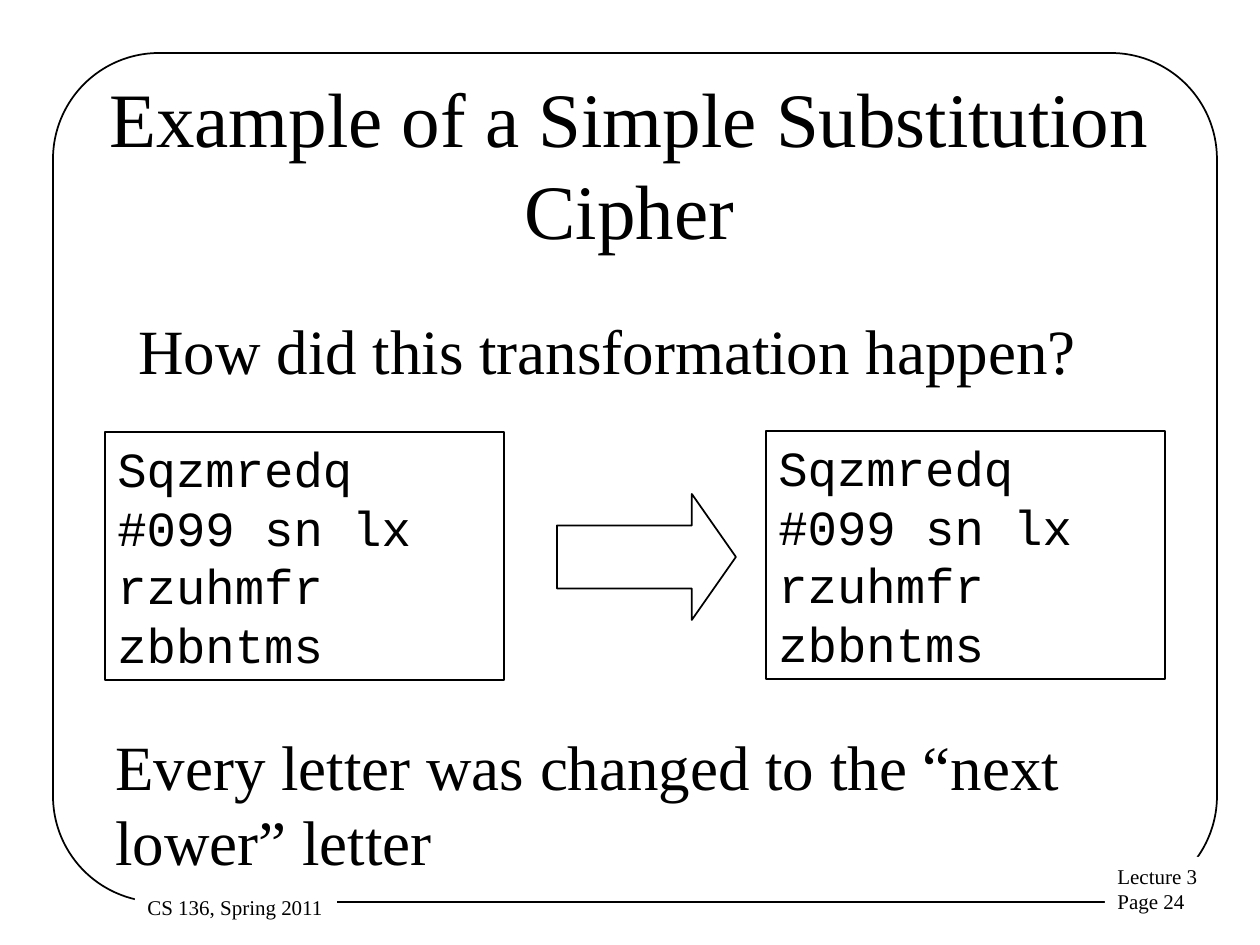
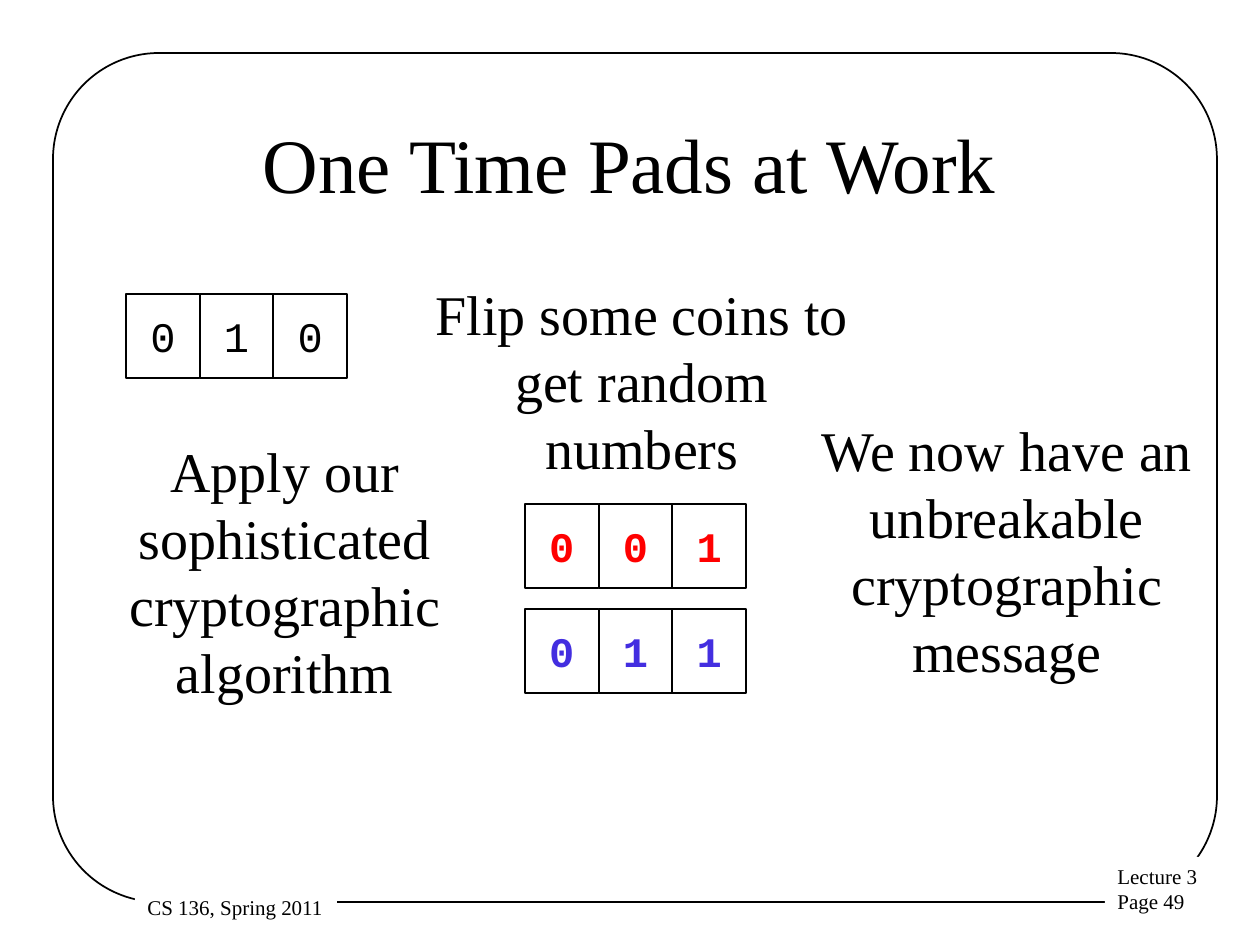
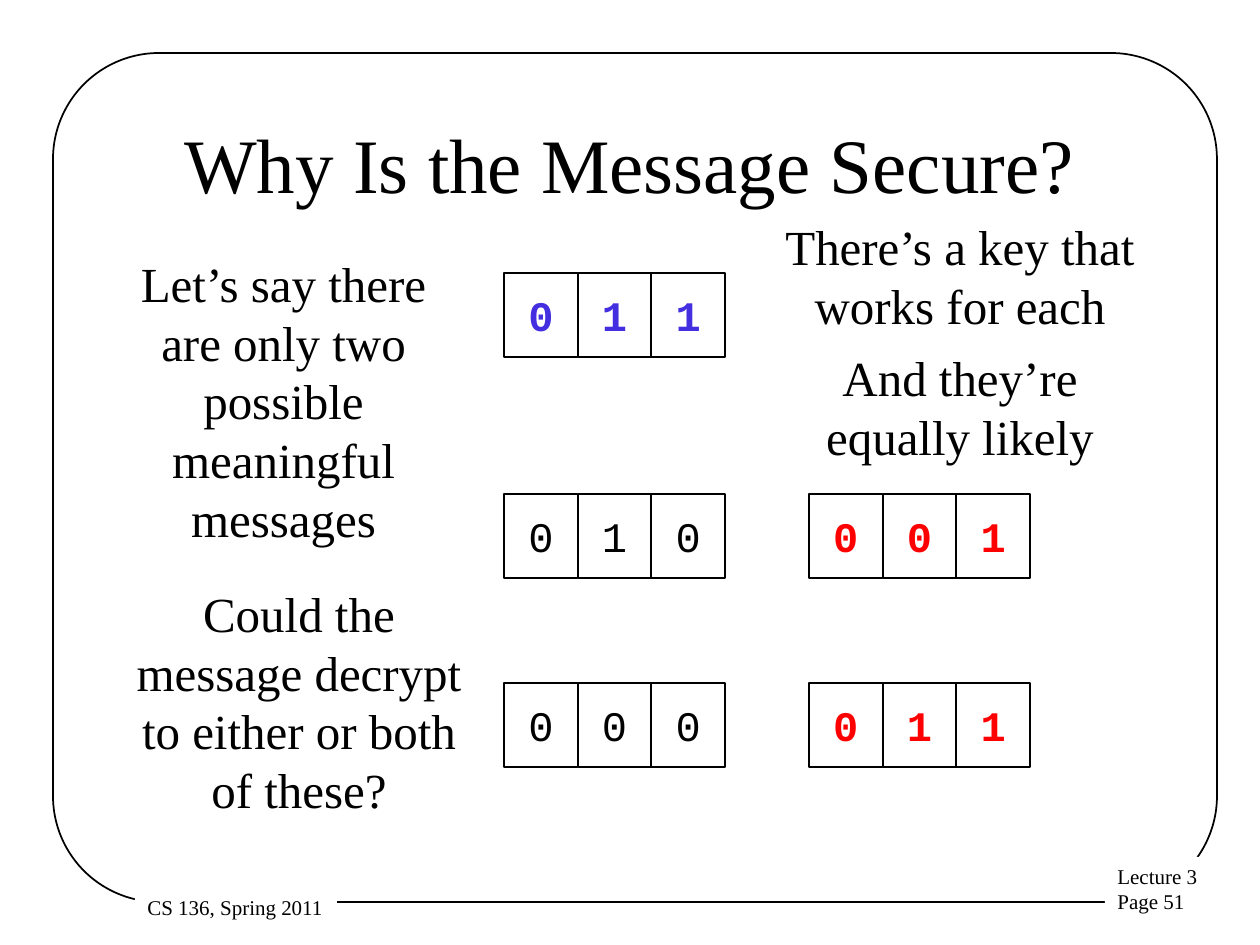
from pptx import Presentation
from pptx.dml.color import RGBColor
from pptx.enum.shapes import MSO_SHAPE as SHAPE
from pptx.enum.text import MSO_ANCHOR as ANCHOR, MSO_AUTO_SIZE as AUTO, PP_ALIGN as ALIGN
from pptx.util import Emu, Pt

COLORS = {"ink": "000000", "paper": "FFFFFF", "key": "FF0000", "cipher": "432EE0"}
SERIF, MONO = "Times New Roman", "Courier New"

# Lengths in px, 126 to the inch
SLIDE_SIZE = (1260, 945)
TITLE_BOX = (94, 84, 1071, 158)
FRAME_BOX = (53, 53, 1164, 849)
PAGE_BOX = (1105, 857, 160, 63)
COURSE_BOX = (135, 888, 202, 38)
BITS_W, BITS_H = 221, 84

COURSE, LECTURE = "CS 136, Spring 2011", "Lecture 3"
CIPHERTEXT = "Sqzmredq #099 sn lx rzuhmfr zbbntms"

# texts: (box, wording, size, alignment); bits: (left, top, digits, colour)
SLIDES = [
    {
        "title": "Example of a Simple Substitution Cipher",
        "page": 24,
        "panels": [(766, 431, 399, 248), (105, 432, 399, 248)],
        "arrow": (557, 494, 179, 126),
        "texts": [
            ((126, 305, 970, 88), "How did this transformation happen?", 36, ALIGN.LEFT),
            ((103, 721, 989, 164), "Every letter was changed to the “next lower” letter",
             36, ALIGN.LEFT),
        ],
    },
    {
        "title": "One Time Pads at Work",
        "page": 49,
        "bits": [
            (126, 294, "010", "ink"),
            (525, 504, "001", "key"),
            (525, 609, "011", "cipher"),
        ],
        "texts": [
            ((410, 273, 464, 214), "Flip some coins to get random numbers", 32, ALIGN.CENTER),
            ((53, 430, 464, 282), "Apply our sophisticated cryptographic algorithm",
             32, ALIGN.CENTER),
            ((775, 409, 464, 282), "We now have an unbreakable cryptographic message",
             32, ALIGN.CENTER),
        ],
    },
    {
        "title": "Why Is the Message Secure?",
        "page": 51,
        "bits": [
            (504, 273, "011", "cipher"),
            (504, 494, "010", "ink"),
            (504, 683, "000", "ink"),
            (809, 494, "001", "key"),
            (809, 683, "011", "key"),
        ],
        "texts": [
            ((105, 247, 357, 307), "Let’s say there are only two possible meaningful messages",
             28, ALIGN.CENTER),
            ((115, 577, 368, 248), "Could the message decrypt to either or both of these?",
             28, ALIGN.CENTER),
            ((766, 210, 388, 131), "There’s a key that works for each", 28, ALIGN.CENTER),
            ((766, 341, 388, 131), "And they’re equally likely", 28, ALIGN.CENTER),
        ],
    },
]


def px(n):
    return Emu(round(n * 914400 / 126))


def rgb(name):
    return RGBColor.from_string(COLORS[name])


def write(sp, lines, size, font=SERIF, color="ink", align=ALIGN.LEFT,
          anchor=ANCHOR.TOP, bold=False):
    tf = sp.text_frame
    tf.word_wrap = True
    tf.auto_size = AUTO.NONE
    tf.vertical_anchor = anchor
    for i, line in enumerate(lines):
        p = tf.add_paragraph() if i else tf.paragraphs[0]
        p.alignment = align
        r = p.add_run()
        r.text = line
        r.font.name, r.font.size, r.font.bold = font, Pt(size), bold
        r.font.color.rgb = rgb(color)


def add_outline(s, kind, box, fill=None, line="ink"):
    """Add a preset shape; None leaves its fill or line out."""
    sp = s.shapes.add_shape(kind, *map(px, box))
    sp.shadow.inherit = False
    if fill:
        sp.fill.solid()
        sp.fill.fore_color.rgb = rgb(fill)
    else:
        sp.fill.background()
    if line:
        sp.line.color.rgb = rgb(line)
        sp.line.width = Pt(1)
    else:
        sp.line.fill.background()
    return sp


def add_bits(s, left, top, digits, color):
    """Draw a row of touching one-digit cells; key and cipher bits are bold."""
    cell_w = BITS_W / len(digits)
    for i, digit in enumerate(digits):
        cell = add_outline(s, SHAPE.RECTANGLE, (left + i * cell_w, top, cell_w, BITS_H), "paper")
        write(cell, [digit], 24, MONO, color, ALIGN.CENTER, ANCHOR.MIDDLE, color != "ink")


def add_base(prs, title, page):
    """Start a slide with its title, rounded frame and footers."""
    s = prs.slides.add_slide(prs.slide_layouts[5])
    head = s.shapes.title
    head.left, head.top, head.width, head.height = map(px, TITLE_BOX)
    write(head, [title], 44, align=ALIGN.CENTER, anchor=ANCHOR.MIDDLE)
    frame = add_outline(s, SHAPE.ROUNDED_RECTANGLE, FRAME_BOX)
    frame.adjustments[0] = 0.125
    for box, lines in ((PAGE_BOX, [LECTURE, f"Page {page}"]), (COURSE_BOX, [COURSE])):
        write(add_outline(s, SHAPE.RECTANGLE, box, "paper", None), lines, 12)
    return s


def main():
    prs = Presentation()
    prs.slide_width, prs.slide_height = map(px, SLIDE_SIZE)
    for content in SLIDES:
        s = add_base(prs, content["title"], content["page"])
        for box in content.get("panels", []):
            write(add_outline(s, SHAPE.RECTANGLE, box), [CIPHERTEXT], 28, MONO)
        if "arrow" in content:
            arrow = add_outline(s, SHAPE.RIGHT_ARROW, content["arrow"])
            arrow.adjustments[1] = 0.35
        for row in content.get("bits", []):
            add_bits(s, *row)
        for box, wording, size, align in content["texts"]:
            write(s.shapes.add_textbox(*map(px, box)), [wording], size, align=align)
    prs.save("out.pptx")


if __name__ == "__main__":
    main()
